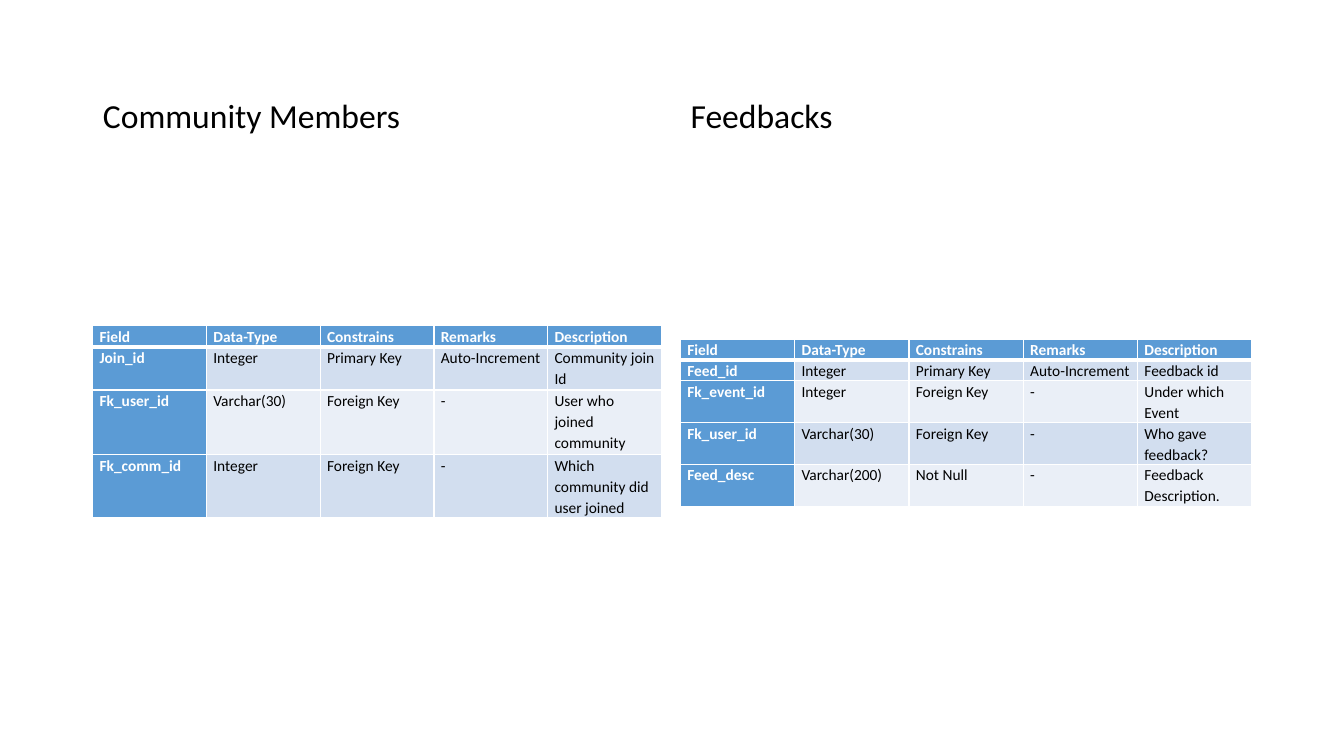
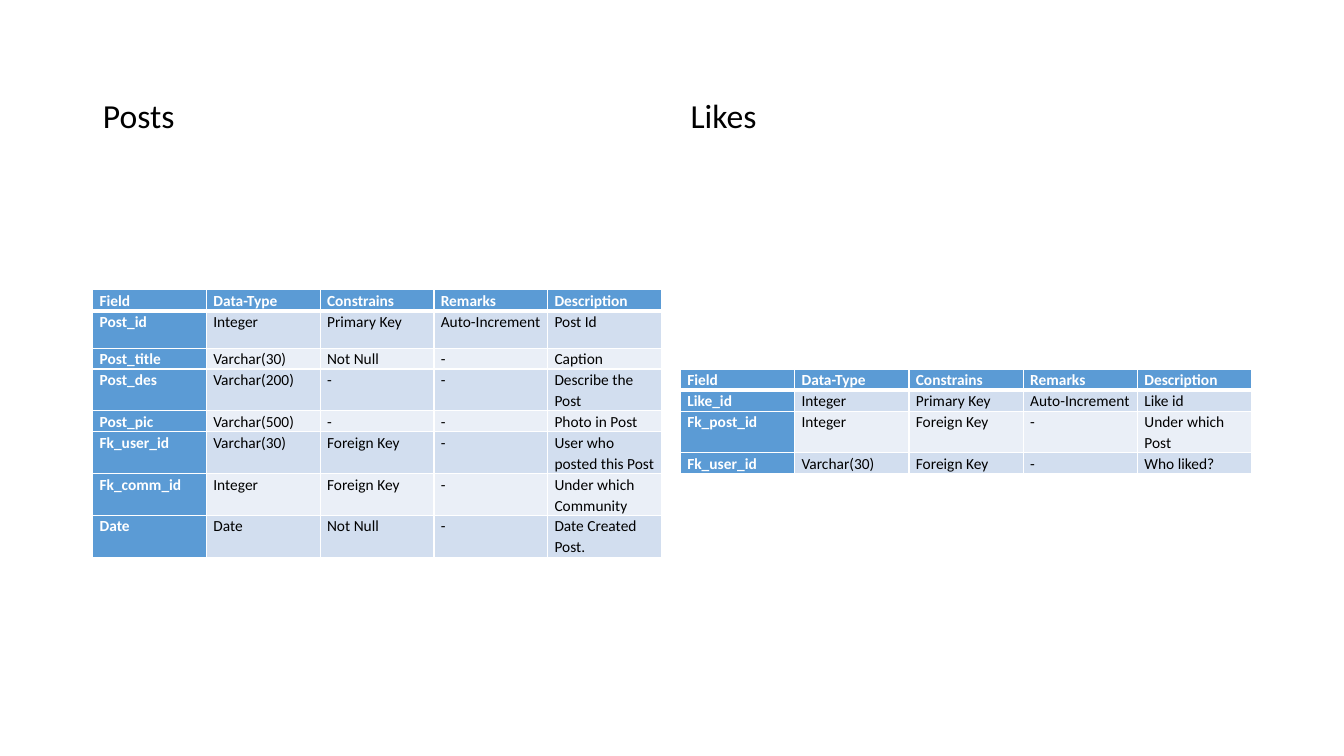
from dataclasses import dataclass

from pptx import Presentation
from pptx import util as u
from pptx.dml.color import RGBColor
from pptx.enum import text
from pptx.oxml import ns, xmlchemy

# Content: each slide is a pair of (title, rows, row heights that differ from the rule)
HEADER = ("Field", "Data-Type", "Constrains", "Remarks", "Description")
SLIDES = [
    [
        ("Community Members", [
            ("Join_id", "Integer", "Primary Key", "Auto-Increment", "Community join Id"),
            ("Fk_user_id", "Varchar(30)", "Foreign Key", "-", "User who joined community"),
            ("Fk_comm_id", "Integer", "Foreign Key", "-", "Which community did user joined"),
        ], {0: 0.53, 1: 1.09, 2: 1.63, 3: 1.5}),
        ("Feedbacks", [
            ("Feed_id", "Integer", "Primary Key", "Auto-Increment", "Feedback id"),
            ("Fk_event_id", "Integer", "Foreign Key", "-", "Under which Event"),
            ("Fk_user_id", "Varchar(30)", "Foreign Key", "-", "Who gave feedback?"),
            ("Feed_desc", "Varchar(200)", "Not Null", "-", "Feedback Description."),
        ], {}),
    ],
    [
        ("Posts", [
            ("Post_id", "Integer", "Primary Key", "Auto-Increment", "Post Id"),
            ("Post_title", "Varchar(30)", "Not Null", "-", "Caption"),
            ("Post_des", "Varchar(200)", "-", "-", "Describe the Post"),
            ("Post_pic", "Varchar(500)", "-", "-", "Photo in Post"),
            ("Fk_user_id", "Varchar(30)", "Foreign Key", "-", "User who posted this Post"),
            ("Fk_comm_id", "Integer", "Foreign Key", "-", "Under which Community"),
            ("Date", "Date", "Not Null", "-", "Date Created Post."),
        ], {1: 0.94}),
        ("Likes", [
            ("Like_id", "Integer", "Primary Key", "Auto-Increment", "Like id"),
            ("Fk_post_id", "Integer", "Foreign Key", "-", "Under which Post"),
            ("Fk_user_id", "Varchar(30)", "Foreign Key", "-", "Who liked?"),
        ], {}),
    ],
]


@dataclass(frozen=True)
class Theme:
    font: str = "Calibri"
    title_size: int = 24
    cell_size: int = 11
    ink: str = "000000"
    light: str = "FFFFFF"
    accent: str = "5B9BD5"
    bands: tuple = ("EAEFF7", "D2DEEF")  # even rows, odd rows


THEME = Theme()

# Geometry in centimetres
COMPARISON_LAYOUT = 4
PANELS = [(1, 2.34, 14.33), (3, 17.15, 14.4)]  # title placeholder, left, width
TITLE_TOP, TITLE_HEIGHT = 1.09, 2.46
TABLE_MIDDLE = 10.58
LINE_HEIGHT = 0.51
LINE_CHARACTERS = 15  # a description longer than this takes two lines
CELL_INSET = 0.17


def add_text(paragraph, words, size, color, bold=False):
    run = paragraph.add_run()
    run.text = words
    run.font.name = THEME.font
    run.font.size = u.Pt(size)
    run.font.bold = bold
    run.font.color.rgb = RGBColor.from_string(color)


def add_border(cell, side, points):
    properties = cell._tc.get_or_add_tcPr()
    line = xmlchemy.OxmlElement(f"a:ln{side}")
    line.set("w", str(u.Pt(points)))
    fill = xmlchemy.OxmlElement("a:solidFill")
    color = xmlchemy.OxmlElement("a:srgbClr")
    color.set("val", THEME.light)
    fill.append(color)
    line.append(fill)
    properties.append(line)


def fill_title(placeholder, words, left, width):
    placeholder.left, placeholder.top = u.Cm(left), u.Cm(TITLE_TOP)
    placeholder.width, placeholder.height = u.Cm(width), u.Cm(TITLE_HEIGHT)
    frame = placeholder.text_frame
    frame.auto_size = text.MSO_AUTO_SIZE.NONE
    frame.vertical_anchor = text.MSO_ANCHOR.BOTTOM
    paragraph = frame.paragraphs[0]
    paragraph.line_spacing = 0.9
    paragraph.space_before = u.Pt(10)
    add_text(paragraph, words, THEME.title_size, THEME.ink)


def fill_cell(cell, words, row, column):
    cell.margin_left = cell.margin_right = u.Cm(CELL_INSET)
    cell.margin_top = cell.margin_bottom = 0
    # The rule below the header is thicker than the others
    widths = {"L": 1, "R": 1, "T": 3 if row == 1 else 1, "B": 3 if row == 0 else 1}
    for side, points in widths.items():
        add_border(cell, side, points)
    heading = row == 0 or column == 0
    cell.fill.solid()
    cell.fill.fore_color.rgb = RGBColor.from_string(
        THEME.accent if heading else THEME.bands[row % 2])
    paragraph = cell.text_frame.paragraphs[0]
    paragraph.line_spacing = 1.1
    add_text(paragraph, words, THEME.cell_size,
             THEME.light if heading else THEME.ink, bold=heading)


def add_field_table(slide, rows, special_heights, left, width):
    rows = [HEADER, *rows]
    heights = [
        special_heights.get(index, LINE_HEIGHT * (1 + (len(row[-1]) > LINE_CHARACTERS)))
        for index, row in enumerate(rows)
    ]
    total = sum(heights)
    table = slide.shapes.add_table(
        len(rows), len(HEADER), u.Cm(left), u.Cm(TABLE_MIDDLE - total / 2),
        u.Cm(width), u.Cm(total)).table
    for column in table.columns:
        column.width = u.Cm(width / len(HEADER))
    for row_index, (row, height) in enumerate(zip(rows, heights)):
        table.rows[row_index].height = u.Cm(height)
        for column_index, words in enumerate(row):
            fill_cell(table.cell(row_index, column_index), words, row_index, column_index)


def main():
    presentation = Presentation()
    presentation.slide_width, presentation.slide_height = u.Cm(33.87), u.Cm(19.05)
    for panels in SLIDES:
        slide = presentation.slides.add_slide(
            presentation.slide_layouts[COMPARISON_LAYOUT])
        placeholders = {shape.placeholder_format.idx: shape for shape in slide.placeholders}
        for (title, rows, heights), (key, left, width) in zip(panels, PANELS):
            fill_title(placeholders.pop(key), title, left, width)
            add_field_table(slide, rows, heights, left, width)
        # Remove the placeholders left empty
        for shape in placeholders.values():
            shape.element.getparent().remove(shape.element)
    presentation.save("out.pptx")


if __name__ == "__main__":
    main()
